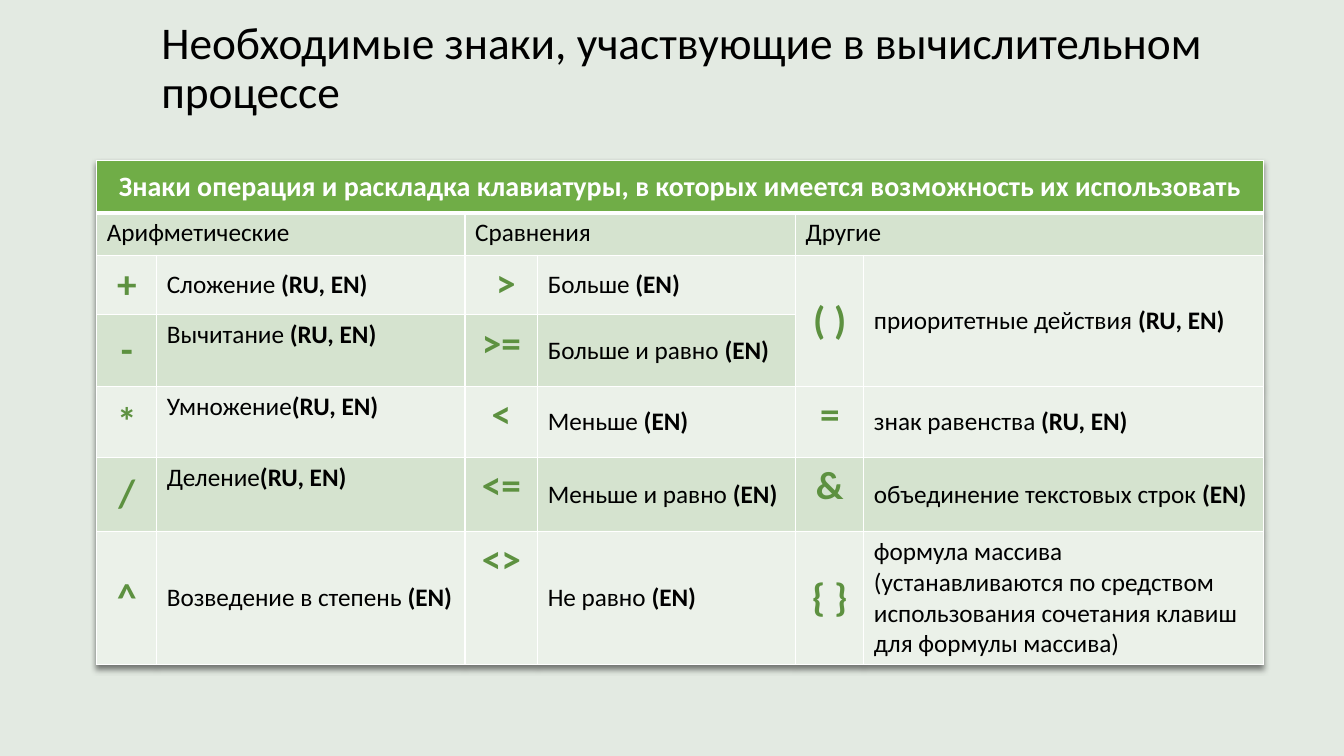
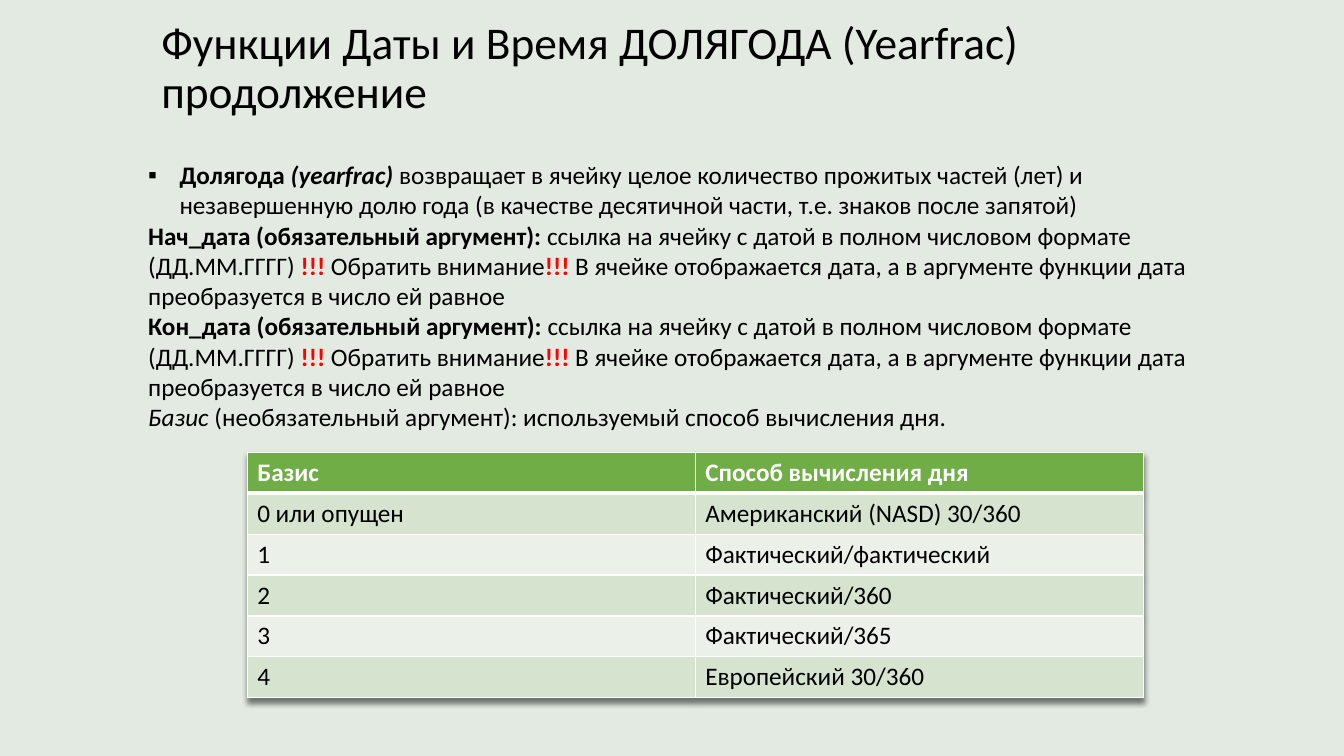
from lxml import etree
from pptx import Presentation
from pptx import util as u
from pptx.dml.color import RGBColor
from pptx.enum import text
from pptx.oxml import ns, parse_xml

COLORS = {
    "background": "E3EAE2",
    "text": "000000",
    "header": "70AD47",
    "header_text": "FFFFFF",
    "band_dark": "D5E3CF",
    "band_light": "EBF1E9",
    "border": "FFFFFF",
    "sign": "5D9140",
    "alert": "FF0000",
}
FONT = "Calibri"
TEXT_SIZE = 18
SIGN_SIZE = 28
TOP, MIDDLE = text.MSO_ANCHOR.TOP, text.MSO_ANCHOR.MIDDLE
CENTER = text.PP_ALIGN.CENTER

EN, RU_EN = "(EN)", "(RU, EN)"
# Each entry: sign, sign anchor, name, keyboard layouts, name anchor
ARITHMETIC = [
    ("+", MIDDLE, "Сложение ", RU_EN, MIDDLE),
    ("-", MIDDLE, "Вычитание ", RU_EN, TOP),
    ("*", MIDDLE, "Умножение", RU_EN, TOP),
    ("/", MIDDLE, "Деление", RU_EN, TOP),
    ("^", MIDDLE, "Возведение в степень ", EN, MIDDLE),
]
COMPARISON = [
    (" >", TOP, "Больше ", EN, MIDDLE),
    (">=", TOP, "Больше и равно ", EN, MIDDLE),
    ("<", TOP, "Меньше ", EN, MIDDLE),
    ("<=", TOP, "Меньше и равно ", EN, MIDDLE),
    ("<>", TOP, "Не равно ", EN, MIDDLE),
]
OTHER = [
    ("( )", MIDDLE, "приоритетные действия ", RU_EN, MIDDLE),
    None,
    ("=", TOP, "знак равенства ", RU_EN, MIDDLE),
    ("&", TOP, "объединение текстовых строк ", EN, MIDDLE),
    ("{ }", MIDDLE, "формула массива (устанавливаются по средством использования "
     "сочетания клавиш для формулы массива)", "", MIDDLE),
]
SIGN_GROUPS = [("Арифметические", ARITHMETIC), ("Сравнения", COMPARISON), ("Другие", OTHER)]

BASIS_ROWS = [
    ("Базис", "Способ вычисления дня"),
    ("0 или опущен", "Американский (NASD) 30/360"),
    ("1", "Фактический/фактический"),
    ("2", "Фактический/360"),
    ("3", "Фактический/365"),
    ("4", "Европейский 30/360"),
]


def rgb(name):
    return RGBColor.from_string(COLORS[name])


def format_paragraph(paragraph, size=TEXT_SIZE, color="text", bold=None):
    font = paragraph.font
    font.name, font.size, font.bold = FONT, u.Pt(size), bold
    font.color.rgb = rgb(color)


def add_runs(paragraph, runs):
    """Add (text, style) pairs; style letters: b bold, i italic, ! alert colour."""
    for content, style in runs:
        run = paragraph.add_run()
        run.text = content
        run.font.bold = "b" in style
        run.font.italic = "i" in style
        if "!" in style:
            run.font.color.rgb = rgb("alert")


def place(shape, left, top, width, height):
    shape.left, shape.top = u.Cm(left), u.Cm(top)
    shape.width, shape.height = u.Cm(width), u.Cm(height)


def add_slide(presentation, layout_index, title):
    slide = presentation.slides.add_slide(presentation.slide_layouts[layout_index])
    shape = slide.shapes.title
    place(shape, 3.81, 0.71, 27.74, 2.08)
    frame = shape.text_frame
    frame.auto_size = text.MSO_AUTO_SIZE.NONE
    frame.vertical_anchor = MIDDLE
    frame.text = title
    paragraph = frame.paragraphs[0]
    paragraph.alignment = text.PP_ALIGN.LEFT
    paragraph.line_spacing = 0.9
    format_paragraph(paragraph, 32.4)
    return slide


def set_borders(cell, row):
    """Draw white borders, heavier between the header row and the next one."""
    properties = cell._tc.get_or_add_tcPr()
    for side in "LRTB":
        heavy = (side, row) in (("B", 0), ("T", 1))
        line = etree.SubElement(properties, ns.qn(f"a:ln{side}"), w=str(u.Pt(3 if heavy else 1)))
        fill = etree.SubElement(line, ns.qn("a:solidFill"))
        etree.SubElement(fill, ns.qn("a:srgbClr"), val=COLORS["border"])


def add_shadow(table):
    table._tbl.tblPr.insert(0, parse_xml(
        f'<a:effectLst {ns.nsdecls("a")}>'
        '<a:outerShdw blurRad="50800" dist="38100" dir="5400000" algn="t" rotWithShape="0">'
        '<a:srgbClr val="000000"><a:alpha val="50000"/></a:srgbClr>'
        '</a:outerShdw></a:effectLst>'))


def add_banded_table(slide, left, top, widths, heights):
    frame = slide.shapes.add_table(len(heights), len(widths), u.Cm(left), u.Cm(top),
                                   u.Cm(sum(widths)), u.Cm(sum(heights)))
    table = frame.table
    table.horz_banding = False
    add_shadow(table)
    for column, width in zip(table.columns, widths):
        column.width = u.Cm(width)
    for row, height in enumerate(heights):
        table.rows[row].height = u.Cm(height)
        band = "header" if row == 0 else ("band_light", "band_dark")[row % 2]
        for column in range(len(widths)):
            cell = table.cell(row, column)
            set_borders(cell, row)
            cell.fill.solid()
            cell.fill.fore_color.rgb = rgb(band)
    return table


def fill_cell(cell, content, anchor=TOP, alignment=None, **style):
    cell.text = content
    cell.vertical_anchor = anchor
    paragraph = cell.text_frame.paragraphs[0]
    paragraph.alignment = alignment
    format_paragraph(paragraph, **style)


def fill_operation(sign_cell, name_cell, operation):
    sign, sign_anchor, name, layouts, name_anchor = operation
    fill_cell(sign_cell, sign, sign_anchor, CENTER, size=SIGN_SIZE, color="sign", bold=True)
    name_cell.vertical_anchor = name_anchor
    paragraph = name_cell.text_frame.paragraphs[0]
    format_paragraph(paragraph)
    add_runs(paragraph, [(name, "")] + ([(layouts, "b")] if layouts else []))


def add_signs_table(slide):
    table = add_banded_table(slide, 2.44, 4.04, [1.51, 7.77, 1.83, 6.5, 1.72, 10.07],
                             [1.32, 1.07, 1.5, 1.8, 1.8, 1.86, 3.36])
    table.cell(0, 0).merge(table.cell(0, 5))
    fill_cell(table.cell(0, 0), "Знаки операция и раскладка клавиатуры, в которых имеется "
              "возможность их использовать", MIDDLE, CENTER,
              size=20, color="header_text", bold=True)
    for group, (heading, operations) in enumerate(SIGN_GROUPS):
        column = 2 * group
        table.cell(1, column).merge(table.cell(1, column + 1))
        fill_cell(table.cell(1, column), heading, bold=False)
        for row, operation in enumerate(operations, start=2):
            cells = [table.cell(row, column + offset) for offset in (0, 1)]
            if operation:
                fill_operation(*cells, operation)
            else:
                for offset, cell in enumerate(cells):
                    table.cell(row - 1, column + offset).merge(cell)


def add_basis_table(slide):
    table = add_banded_table(slide, 6.23, 11.4, [11.29] * 2, [1.03] * len(BASIS_ROWS))
    for row, values in enumerate(BASIS_ROWS):
        for column, value in enumerate(values):
            fill_cell(table.cell(row, column), value, bold=row == 0,
                      color="text" if row else "header_text")


def set_bullet(paragraph, character=None):
    properties = paragraph._p.get_or_add_pPr()
    indent = u.Cm(0.79) if character else 0
    properties.set("marL", str(indent))
    properties.set("indent", str(-indent))
    if character:
        etree.SubElement(properties, ns.qn("a:buChar"), char=character)
    else:
        etree.SubElement(properties, ns.qn("a:buNone"))


def date_argument(name):
    return [
        (f"{name} (обязательный аргумент): ", "b"),
        ("ссылка на ячейку с датой в полном числовом формате (ДД.ММ.ГГГГ) ", ""),
        ("!!!", "b!"),
        (" Обратить внимание", ""),
        ("!!!", "b!"),
        (" В ячейке отображается дата, а в аргументе функции дата преобразуется "
         "в число ей равное", ""),
    ]


def fill_function_description(slide):
    body = slide.placeholders[1]
    place(body, 3.48, 3.89, 28.04, 7.52)
    frame = body.text_frame
    frame.auto_size = text.MSO_AUTO_SIZE.NONE
    items = [
        [("Долягода ", "b"), ("(yearfrac) ", "bi"),
         ("возвращает в ячейку целое количество прожитых частей (лет) и незавершенную "
          "долю года (в качестве десятичной части, т.е. знаков после запятой)", "")],
        date_argument("Нач_дата"),
        date_argument("Кон_дата"),
        [("Базис ", "i"),
         ("(необязательный аргумент): используемый способ вычисления дня.", "")],
    ]
    for index, runs in enumerate(items):
        paragraph = frame.add_paragraph() if index else frame.paragraphs[0]
        set_bullet(paragraph, None if index else "▪")
        paragraph.space_before = u.Pt(0)
        format_paragraph(paragraph)
        add_runs(paragraph, runs)


def main():
    presentation = Presentation()
    presentation.slide_width, presentation.slide_height = u.Cm(33.87), u.Cm(19.05)
    background = presentation.slide_master.background.fill
    background.solid()
    background.fore_color.rgb = rgb("background")

    signs = add_slide(presentation, 5, "Необходимые знаки, участвующие в вычислительном процессе")
    add_signs_table(signs)

    year_fraction = add_slide(presentation, 1,
                              "Функции Даты и Время ДОЛЯГОДА (Yearfrac) продолжение")
    fill_function_description(year_fraction)
    add_basis_table(year_fraction)

    presentation.save("out.pptx")


if __name__ == "__main__":
    main()
